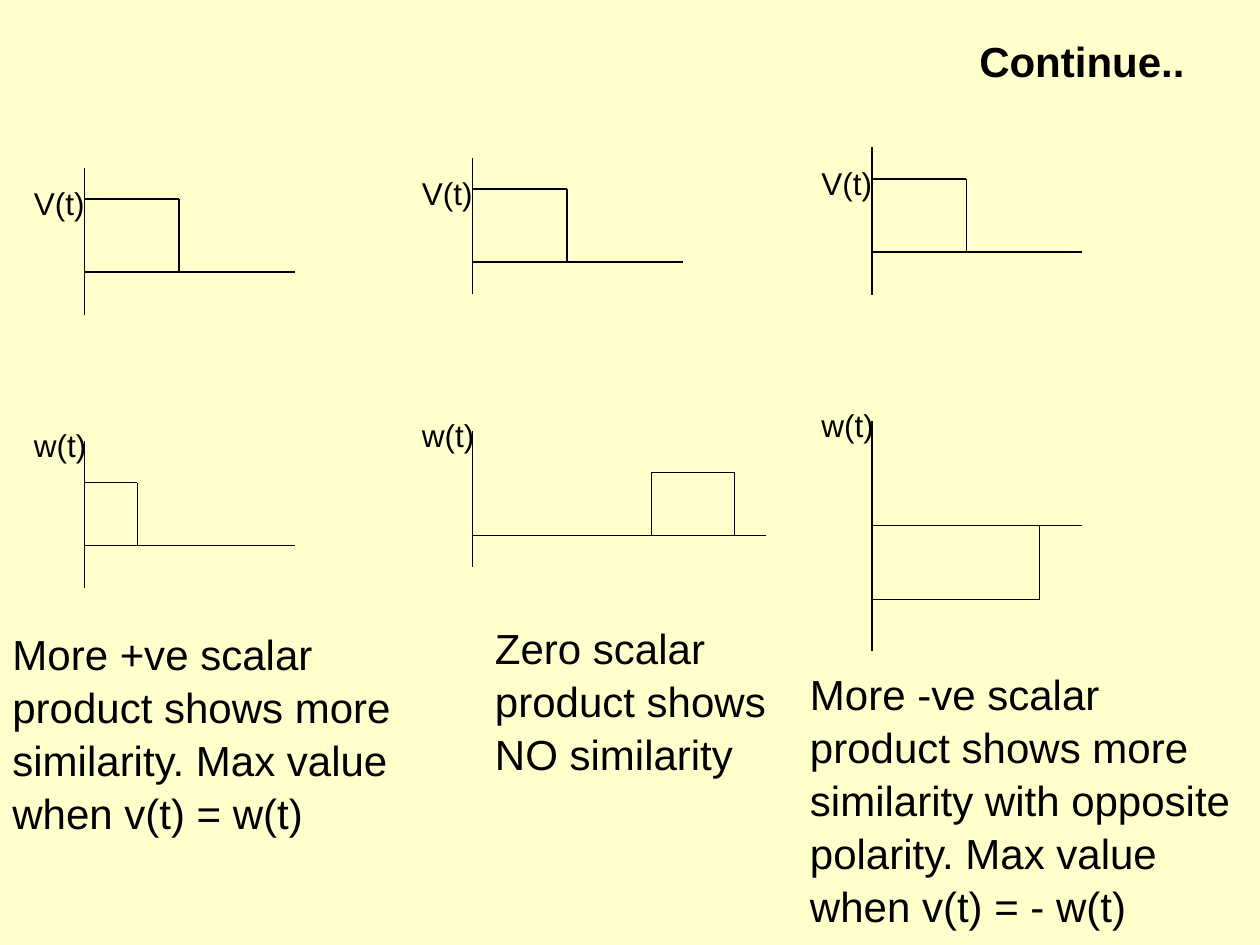
from lxml import etree
from pptx import Presentation
from pptx.dml.color import RGBColor
from pptx.enum.shapes import MSO_CONNECTOR
from pptx.enum.text import MSO_ANCHOR, PP_ALIGN
from pptx.oxml.ns import qn
from pptx.util import Inches, Pt

BLACK = RGBColor(0, 0, 0)
CREAM = RGBColor(0xFF, 0xFF, 0xCC)
FONT = "Arial"
ROW_GAP = 2.17
BASELINE = 0.83
V_PULSE = (0, 0.75, 0.25)

COLUMNS = [
    # left, top, V axis height, V axis length, w axis height, w axis length, w pulse
    (0.67, 1.33, 1.17, 1.67, 1.17, 1.67, (0, 0.42, 0.33)),
    (3.75, 1.25, 1.08, 1.67, 1.08, 2.33, (1.42, 2.08, 0.33)),
    (6.92, 1.17, 1.17, 1.67, 1.83, 1.67, (0, 1.33, 1.42)),
]
CAPTIONS = [
    ((0, 4.92, 3.25, 1.7),
     "More +ve scalar product shows more similarity. Max value when v(t) = w(t)"),
    ((3.83, 4.87, 2.42, 1.3), "Zero scalar product shows NO similarity"),
    ((6.33, 5.24, 3.58, 2.1),
     "More -ve scalar product shows more similarity with opposite polarity. "
     "Max value when v(t) = - w(t)"),
]


def add_text(slide, box, text, size):
    frame = slide.shapes.add_textbox(*map(Inches, box)).text_frame
    frame.word_wrap = True
    paragraph = frame.paragraphs[0]
    paragraph.text = text
    paragraph.font.name = FONT
    paragraph.font.size = Pt(size)
    paragraph.font.color.rgb = BLACK
    return frame


def add_line(slide, start, end):
    line = slide.shapes.add_connector(
        MSO_CONNECTOR.STRAIGHT, *map(Inches, (*start, *end)))
    line.line.color.rgb = BLACK
    line.line.width = Pt(0.75)
    etree.SubElement(line.element.spPr, qn("a:effectLst"))


def add_title(slide, box):
    frame = add_text(slide, box, "Continue..", 24)
    frame.vertical_anchor = MSO_ANCHOR.MIDDLE
    frame.paragraphs[0].alignment = PP_ALIGN.RIGHT
    frame.paragraphs[0].font.bold = True


def add_signal(slide, box, label, label_offset, pulse):
    left, top, length, height = box
    base = top + BASELINE
    add_line(slide, (left, top), (left, top + height))
    add_line(slide, (left, base), (left + length, base))

    pulse_start, pulse_end, pulse_level = pulse
    start, end, level = left + pulse_start, left + pulse_end, top + pulse_level
    if pulse_start:
        add_line(slide, (start, base), (start, level))
    add_line(slide, (start, level), (end, level))
    add_line(slide, (end, level), (end, base))
    add_text(slide, (left - 0.5, top + label_offset, 0.75, 0.4), label, 18)


def add_caption(slide, box, text):
    frame = add_text(slide, box, text, 24)
    frame.paragraphs[0].line_spacing = 1.05


def main():
    deck = Presentation()
    deck.slide_width, deck.slide_height = Inches(10), Inches(7.5)
    slide = deck.slides.add_slide(deck.slide_layouts[6])
    slide.background.fill.solid()
    slide.background.fill.fore_color.rgb = CREAM

    add_title(slide, (0.5, 0.3, 9, 0.37))
    for left, top, v_height, v_length, w_height, w_length, w_pulse in COLUMNS:
        add_signal(slide, (left, top, v_length, v_height), "V(t)", 0.08, V_PULSE)
        add_signal(slide, (left, top + ROW_GAP, w_length, w_height),
                   "w(t)", -0.17, w_pulse)
    for box, text in CAPTIONS:
        add_caption(slide, box, text)
    deck.save("out.pptx")


if __name__ == "__main__":
    main()
